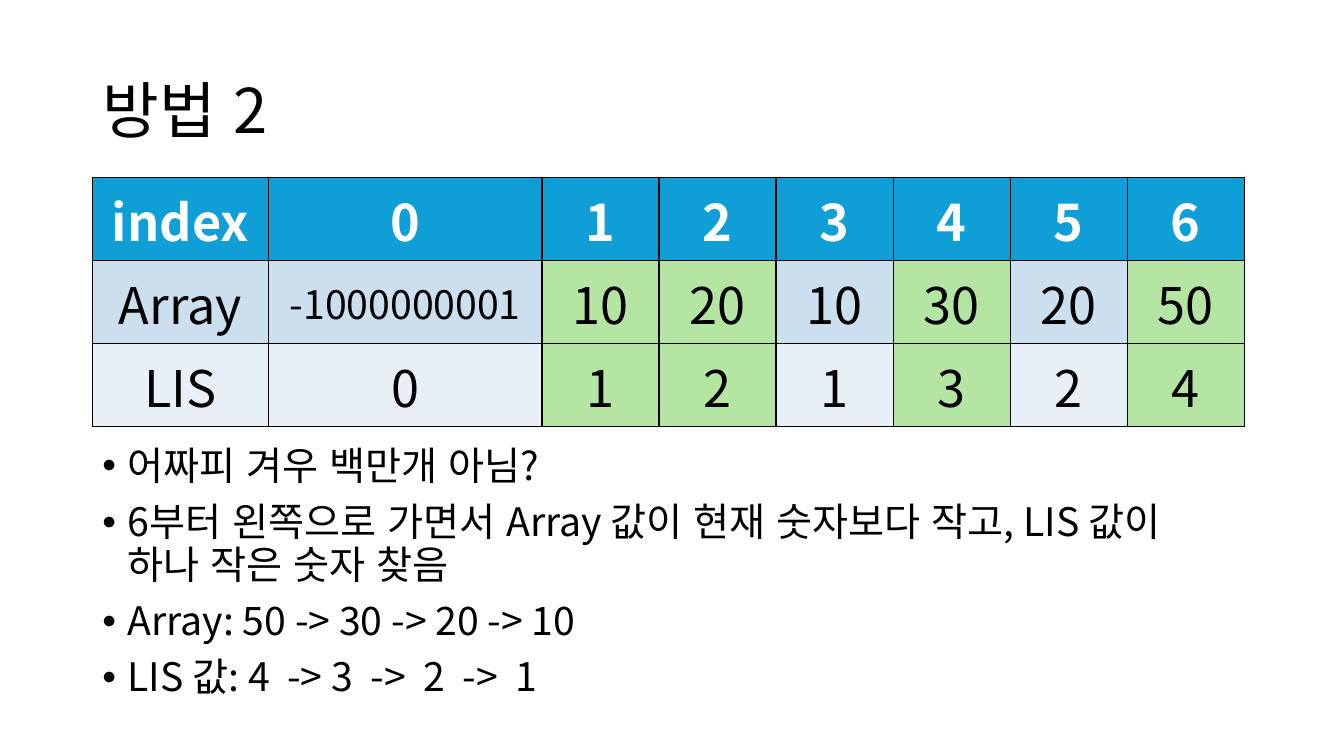
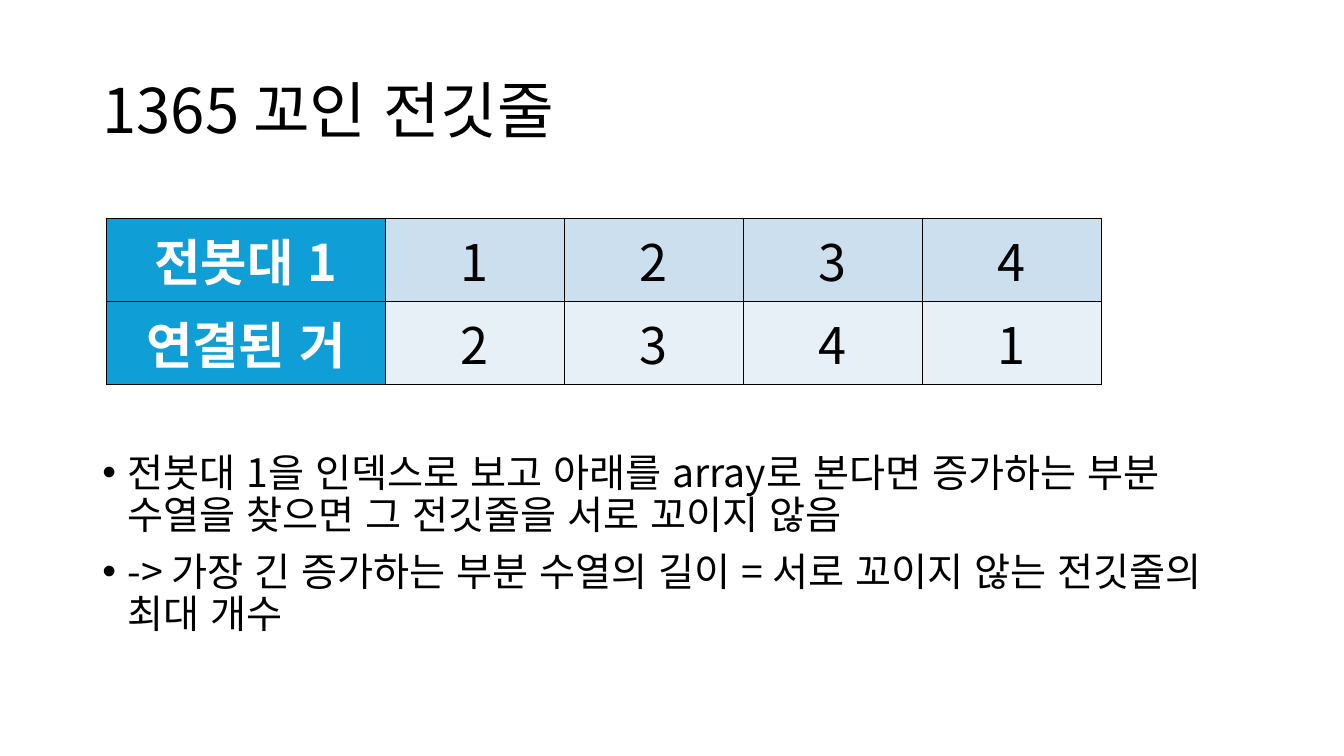
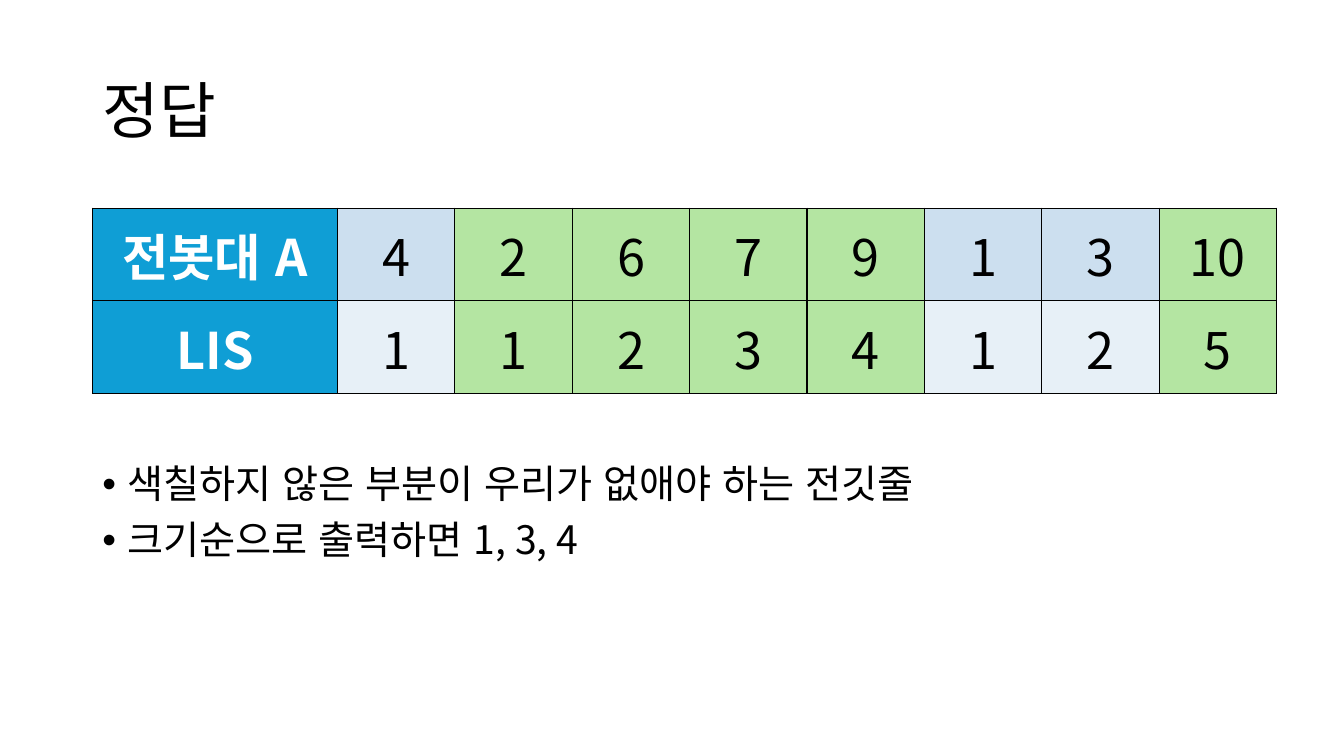
import pptx
import pptx.dml.color
import pptx.enum.lang
import pptx.enum.text
import pptx.oxml
import pptx.oxml.ns
import pptx.util

Pt = pptx.util.Pt
RGBColor = pptx.dml.color.RGBColor
PP_ALIGN = pptx.enum.text.PP_ALIGN
MSO_ANCHOR = pptx.enum.text.MSO_ANCHOR
qn = pptx.oxml.ns.qn

FONT = "Noto Sans CJK KR"
BLACK = RGBColor(0x00, 0x00, 0x00)
WHITE = RGBColor(0xFF, 0xFF, 0xFF)
HEADER_BLUE = RGBColor(0x0F, 0x9E, 0xD5)
BANDS = RGBColor(0xCC, 0xDF, 0xEF), RGBColor(0xE7, 0xF0, 0xF7)
CHOSEN_GREEN = RGBColor(0xB4, 0xE5, 0xA2)

SLIDE_SIZE = 960, 540
MARGIN, TEXT_WIDTH = 66, 828
TITLE_TOP, TITLE_HEIGHT = 28.75, 104.4
TITLE_FONT = {"size": Pt(44), "bold": False}
BULLET_FONT = {"size": Pt(28), "bold": False}
CELL_FONT = {"size": Pt(36), "bold": False}
HEADER_FONT = {"size": Pt(36), "bold": True}
LONG_FONT = {"size": Pt(28), "bold": False}
LONG_TEXT = 8
BULLET_INDENT = 18

# "header" tells whether the first row or the first column is the heading;
# "lead" holds the widths of the leading columns, "step" that of all others.
SLIDES = [
    {
        "title": "방법 2",
        "rows": [
            ["index", "0", "1", "2", "3", "4", "5", "6"],
            ["Array", "-1000000001", "10", "20", "10", "30", "20", "50"],
            ["LIS", "0", "1", "2", "1", "3", "2", "4"],
        ],
        "header": "row", "chosen": {2, 3, 5, 7},
        "place": (66, 126.8), "lead": [125.7, 195.5], "step": 83.6, "row_height": 59.3,
        "body": (315.4, 210),
        "bullets": [
            "어짜피 겨우 백만개 아님?",
            "6부터 왼쪽으로 가면서 Array 값이 현재 숫자보다 작고, LIS 값이 하나 작은 숫자 찾음",
            "Array: 50 -> 30 -> 20 -> 10",
            "LIS 값: 4  -> 3  ->  2  ->  1",
        ],
    },
    {
        "title": "1365 꼬인 전깃줄",
        "rows": [
            ["전봇대 1", "1", "2", "3", "4"],
            ["연결된 거", "2", "3", "4", "1"],
        ],
        "header": "column", "chosen": set(),
        "place": (76.1, 156), "lead": [199], "step": 127.9, "row_height": 59.3,
        "body": (320.4, 165.6),
        "bullets": [
            "전봇대 1을 인덱스로 보고 아래를 array로 본다면 증가하는 부분 수열을 찾으면 "
            "그 전깃줄을 서로 꼬이지 않음",
            "-> 가장 긴 증가하는 부분 수열의 길이 = 서로 꼬이지 않는 전깃줄의 최대 개수",
        ],
    },
    {
        "title": "정답",
        "rows": [
            ["전봇대 A", "4", "2", "6", "7", "9", "1", "3", "10"],
            ["LIS", "1", "1", "2", "3", "4", "1", "2", "5"],
        ],
        "header": "column", "chosen": {2, 3, 4, 5, 8},
        "place": (66, 148.8), "lead": [175.1], "step": 83.85, "row_height": 66.1,
        "body": (328.3, 158.4),
        "bullets": [
            "색칠하지 않은 부분이 우리가 없애야 하는 전깃줄",
            "크기순으로 출력하면 1, 3, 4",
        ],
    },
]


def write(paragraph, text, font_format, color=BLACK):
    run = paragraph.add_run()
    run.text = text
    for key, value in font_format.items():
        setattr(run.font, key, value)
    run.font.name = FONT
    run.font.language_id = pptx.enum.lang.MSO_LANGUAGE_ID.KOREAN
    run.font.color.rgb = color
    east_asian = pptx.oxml.parse_xml(
        f'<a:ea {pptx.oxml.ns.nsdecls("a")} typeface="{FONT}"/>')
    run.font._element.find(qn("a:latin")).addnext(east_asian)


def place_text(placeholder, top, height, anchor):
    box = {"left": MARGIN, "top": top, "width": TEXT_WIDTH, "height": height}
    for key, value in box.items():
        setattr(placeholder, key, Pt(value))
    frame = placeholder.text_frame
    frame.auto_size = pptx.enum.text.MSO_AUTO_SIZE.NONE
    frame.vertical_anchor = anchor
    return frame


def add_title(slide, title):
    frame = place_text(slide.shapes.title, TITLE_TOP, TITLE_HEIGHT, MSO_ANCHOR.MIDDLE)
    heading = frame.paragraphs[0]
    heading.alignment = PP_ALIGN.LEFT
    heading.line_spacing = 0.9
    write(heading, title, TITLE_FONT)


def add_bullets(slide, bullets, top, height):
    frame = place_text(slide.placeholders[1], top, height, MSO_ANCHOR.TOP)
    for index, text in enumerate(bullets):
        bullet = frame.add_paragraph() if index else frame.paragraphs[0]
        properties = bullet._p.get_or_add_pPr()
        properties.set("marL", str(Pt(BULLET_INDENT)))
        properties.set("indent", str(-Pt(BULLET_INDENT)))
        bullet.line_spacing = 0.9
        bullet.space_before = Pt(10 if index else 0)
        write(bullet, text, BULLET_FONT)


def add_borders(cell):
    properties = cell._tc.get_or_add_tcPr()
    for position, side in enumerate(("lnL", "lnR", "lnT", "lnB")):
        properties.insert(position, pptx.oxml.parse_xml(
            f'<a:{side} {pptx.oxml.ns.nsdecls("a")} w="{Pt(1)}"><a:solidFill>'
            f'<a:srgbClr val="{BLACK}"/></a:solidFill></a:{side}>'))


def add_grid(slide, content):
    rows, by_row = content["rows"], content["header"] == "row"
    lead, step = content["lead"], content["step"]
    widths = lead + [step] * (len(rows[0]) - len(lead))
    left, top = content["place"]
    height = content["row_height"]
    table = slide.shapes.add_table(
        len(rows), len(widths), Pt(left), Pt(top),
        Pt(sum(widths)), Pt(height * len(rows))).table
    for column, width in zip(table.columns, widths):
        column.width = Pt(width)
    for r, values in enumerate(rows):
        table.rows[r].height = Pt(height)
        for c, text in enumerate(values):
            is_header = r == 0 if by_row else c == 0
            if is_header:
                fill, color, font_format = HEADER_BLUE, WHITE, HEADER_FONT
            else:
                band = BANDS[(r - by_row) % 2]
                fill = CHOSEN_GREEN if c in content["chosen"] else band
                color = BLACK
                font_format = LONG_FONT if len(text) > LONG_TEXT else CELL_FONT
            cell = table.cell(r, c)
            cell.vertical_anchor = MSO_ANCHOR.MIDDLE
            cell.fill.solid()
            cell.fill.fore_color.rgb = fill
            add_borders(cell)
            value = cell.text_frame.paragraphs[0]
            value.alignment = PP_ALIGN.CENTER
            write(value, text, font_format, color)


def main():
    deck = pptx.Presentation()
    deck.slide_width, deck.slide_height = map(Pt, SLIDE_SIZE)
    for content in SLIDES:
        slide = deck.slides.add_slide(deck.slide_layouts[1])
        add_title(slide, content["title"])
        add_bullets(slide, content["bullets"], *content["body"])
        add_grid(slide, content)
    deck.save("out.pptx")


if __name__ == "__main__":
    main()
